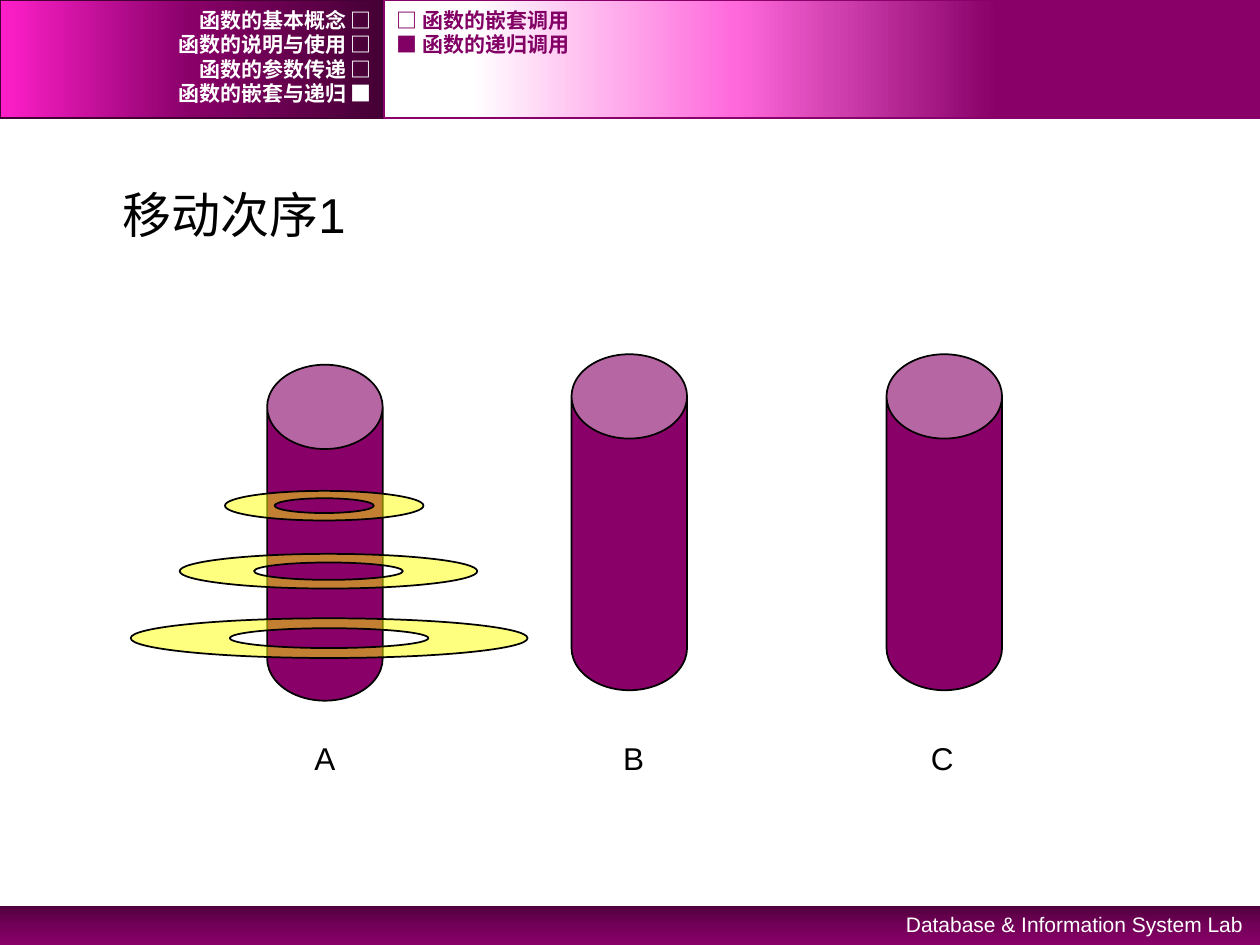
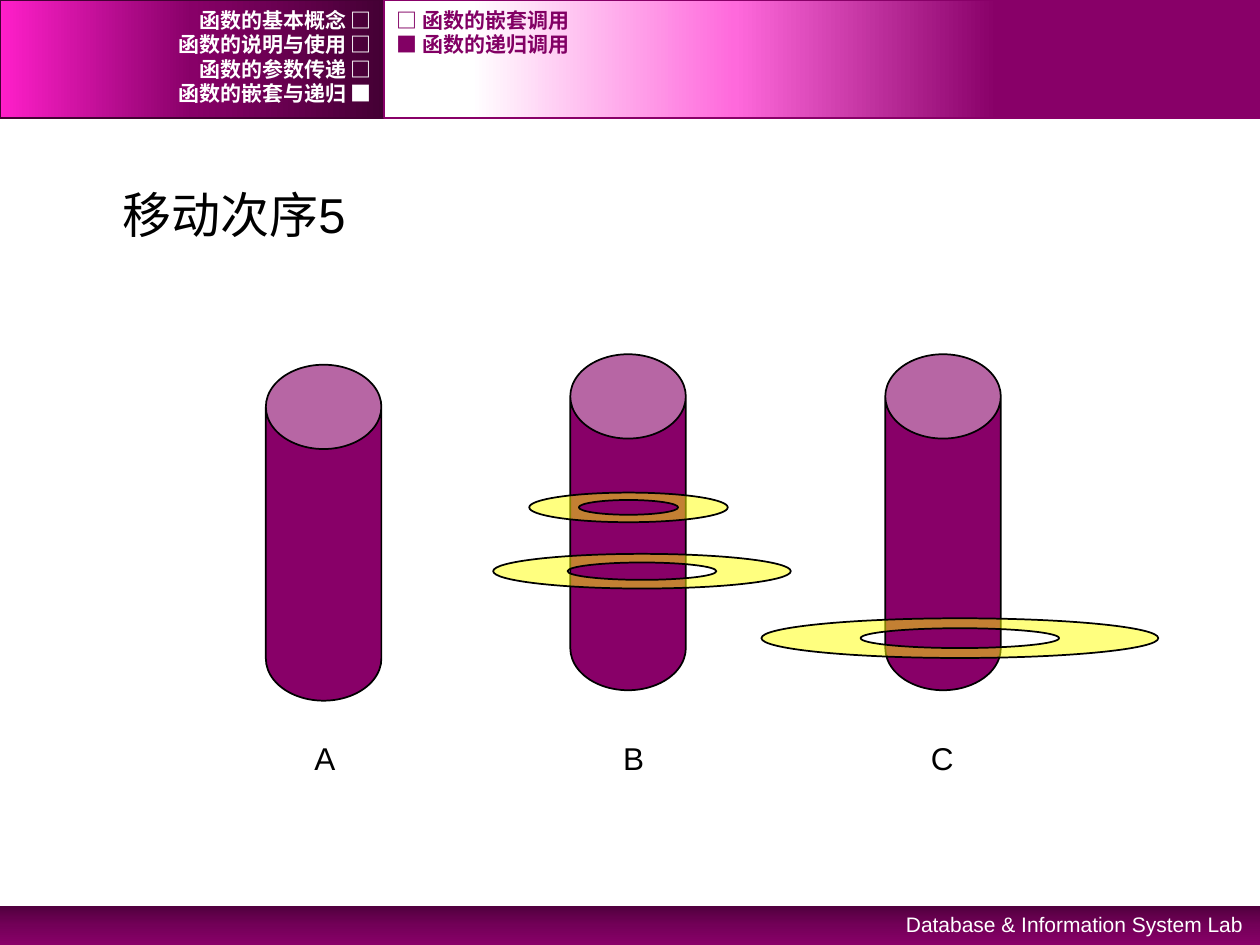
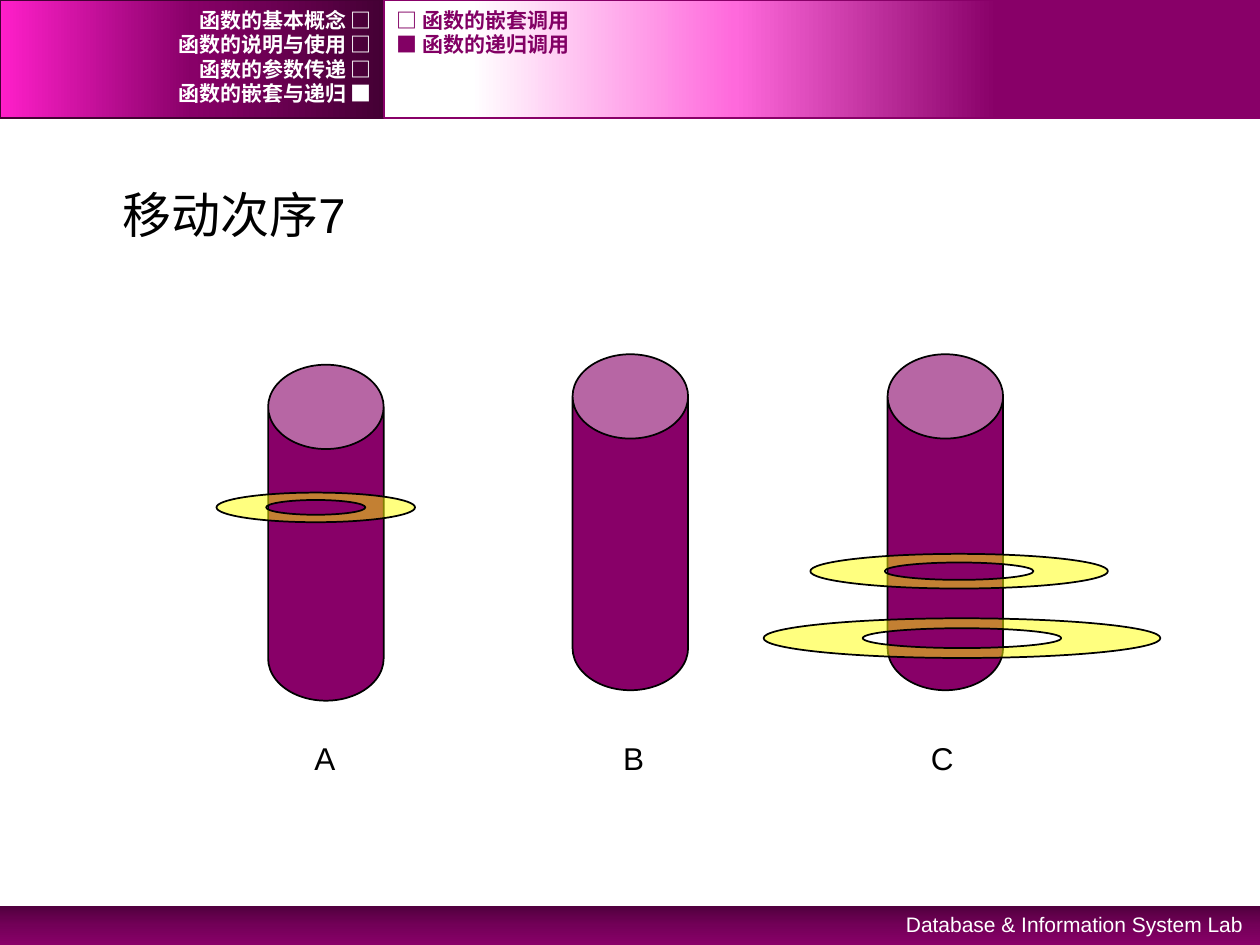
from dataclasses import dataclass

import lxml.etree
import pptx
import pptx.dml.color
import pptx.enum.shapes
import pptx.enum.text
import pptx.oxml.ns
import pptx.util

RGBColor = pptx.dml.color.RGBColor
Align = pptx.enum.text.PP_ALIGN
Anchor = pptx.enum.text.MSO_ANCHOR
Preset = pptx.enum.shapes.MSO_SHAPE
qn = pptx.oxml.ns.qn

PLUM = RGBColor(0x88, 0x00, 0x68)
MID_PLUM = RGBColor(0x73, 0x00, 0x58)
DEEP_PLUM = RGBColor(0x51, 0x00, 0x3E)
DARK_PLUM = RGBColor(0x44, 0x00, 0x34)
TOPIC_PLUM = RGBColor(0x82, 0x00, 0x64)
HOT_PINK = RGBColor(0xFF, 0x1F, 0xCA)
PINK = RGBColor(0xFF, 0x69, 0xDC)
YELLOW = RGBColor(0xFF, 0xFF, 0x00)
WHITE = RGBColor(0xFF, 0xFF, 0xFF)
BLACK = RGBColor(0x00, 0x00, 0x00)

SLIDE_WIDTH = pptx.util.Inches(10)
SLIDE_HEIGHT = pptx.util.Inches(7.5)
COLUMNS, ROWS = 100, 75
ARC_HANDLE = 0.55
DISK_OPACITY = 50


@dataclass(frozen=True)
class Box:
    left: float
    top: float
    width: float
    height: float


@dataclass(frozen=True)
class Band:
    box: Box
    stops: tuple[tuple[int, RGBColor], ...]
    angle: int
    outline: RGBColor | None = None


@dataclass(frozen=True)
class TextStyle:
    font: str
    size: int
    color: RGBColor
    bold: bool = False
    align: Align = Align.LEFT
    anchor: Anchor = Anchor.TOP
    inset: float = 0.5
    indent: float = 0


@dataclass(frozen=True)
class Disk:
    width: float
    height: float


@dataclass(frozen=True)
class Step:
    title: str
    peg_shift: float
    disk_centers: tuple[tuple[float, float], ...]


HEADER_SPLIT, HEADER_HEIGHT = 30.5, 9.4
BANDS = (
    Band(Box(0, 71.9, 100, 3.1), ((0, DEEP_PLUM), (50, MID_PLUM), (100, PLUM)), 270),
    Band(Box(0, 0, HEADER_SPLIT, HEADER_HEIGHT),
         ((0, DARK_PLUM), (50, PLUM), (100, HOT_PINK)), 180, DARK_PLUM),
    Band(Box(HEADER_SPLIT, 0, COLUMNS - HEADER_SPLIT, HEADER_HEIGHT),
         ((30, PLUM), (60, PINK), (90, WHITE)), 180, PLUM),
)

FOOTER_STYLE = TextStyle("Arial", 12, WHITE, align=Align.RIGHT)
TITLE_STYLE = TextStyle("Arial", 28, BLACK, inset=0.4, indent=3.75)
LABEL_STYLE = TextStyle("Arial", 18, BLACK, inset=0.55)
CHAPTER_STYLE = TextStyle("Courier New", 12, WHITE, True, Align.RIGHT, Anchor.MIDDLE, 0)
TOPIC_STYLE = TextStyle("Courier New", 12, TOPIC_PLUM, True, Align.LEFT, Anchor.MIDDLE, 0)

CHAPTERS = ("函数的基本概念 □", "函数的说明与使用 □", "函数的参数传递 □", "函数的嵌套与递归 ■")
TOPICS = ("□ 函数的嵌套调用", "■ 函数的递归调用")
MENU_TOP, MENU_PITCH, MENU_HEIGHT = 0.6, 1.95, 1.95

PEG_WIDTH, PEG_HEIGHT, PEG_CAP = 9.17, 26.67, 0.73
PEG_CORNERS = ((21.2, 28.95), (45.36, 28.12), (70.36, 28.12))
PEG_NAMES = ("A", "B", "C")
LABEL_FIRST, LABEL_PITCH = 2.8, 24.5
DISKS = (Disk(15.75, 2.35), Disk(23.62, 2.75), Disk(31.5, 3.15))

STEPS = (
    Step("移动次序1", 0, ((25.73, 40.13), (26.07, 45.33), (26.12, 50.65))),
    Step("移动次序5", -0.1, ((49.88, 40.27), (50.95, 45.33), (76.18, 50.65))),
    Step("移动次序7", 0.08, ((25.06, 40.27), (76.12, 45.33), (76.35, 50.65))),
)


def column(count: float) -> int:
    return round(SLIDE_WIDTH * count / COLUMNS)


def row(count: float) -> int:
    return round(SLIDE_HEIGHT * count / ROWS)


def place(box: Box) -> tuple[int, int, int, int]:
    return column(box.left), row(box.top), column(box.width), row(box.height)


def set_outline(shape, color: RGBColor | None) -> None:
    shape.shadow.inherit = False
    if color is None:
        shape.line.fill.background()
    else:
        shape.line.color.rgb = color
        shape.line.width = pptx.util.Pt(1)


def add_band(slide, band: Band) -> None:
    shape = slide.shapes.add_shape(Preset.RECTANGLE, *place(band.box))
    set_outline(shape, band.outline)
    shape.fill.gradient()
    shape.fill.gradient_angle = band.angle
    stop_list = shape._element.spPr.find(".//" + qn("a:gsLst"))
    for stop in list(stop_list):
        stop_list.remove(stop)
    for position, color in band.stops:
        stop = lxml.etree.SubElement(stop_list, qn("a:gs"), pos=str(position * 1000))
        lxml.etree.SubElement(stop, qn("a:srgbClr"), val=str(color))


def add_text(slide, box: Box, text: str, style: TextStyle):
    shape = slide.shapes.add_textbox(*place(box))
    frame = shape.text_frame
    frame.word_wrap = True
    frame.vertical_anchor = style.anchor
    frame.margin_top = frame.margin_bottom = row(style.inset)
    paragraph = frame.paragraphs[0]
    paragraph.alignment = style.align
    if style.indent:
        paragraph._p.get_or_add_pPr().set("marL", str(column(style.indent)))
    run = paragraph.add_run()
    run.text = text
    run.font.name = style.font
    run.font.size = pptx.util.Pt(style.size)
    run.font.bold = style.bold
    run.font.color.rgb = style.color
    return paragraph


def add_menu(slide, left: float, width: float, entries: tuple[str, ...], style: TextStyle) -> None:
    for index, entry in enumerate(entries):
        box = Box(left, MENU_TOP + index * MENU_PITCH, width, MENU_HEIGHT)
        add_text(slide, box, entry, style)


def add_peg(slide, corner: tuple[float, float], shift: float) -> None:
    box = Box(corner[0] + shift, corner[1], PEG_WIDTH, PEG_HEIGHT)
    shape = slide.shapes.add_shape(Preset.CAN, *place(box))
    shape.adjustments[0] = PEG_CAP
    shape.fill.solid()
    shape.fill.fore_color.rgb = PLUM
    set_outline(shape, BLACK)


def diamond(center: tuple[float, float], disk: Disk, scale: float) -> list[tuple[int, int]]:
    x, y = center
    half_width, half_height = scale * disk.width / 2, scale * disk.height / 2
    corners = ((x - half_width, y), (x, y - half_height),
               (x + half_width, y), (x, y + half_height), (x - half_width, y))
    return [(column(left), row(top)) for left, top in corners]


def round_segments(shape) -> None:
    start = (0, 0)
    starts_at_side = True
    for command in list(shape._element.spPr.find(".//" + qn("a:path"))):
        if command.tag == qn("a:close"):
            continue
        point = command.find(qn("a:pt"))
        end = (int(point.get("x")), int(point.get("y")))
        if command.tag == qn("a:moveTo"):
            starts_at_side = True
        else:
            corner = (start[0], end[1]) if starts_at_side else (end[0], start[1])
            curve = lxml.etree.Element(qn("a:cubicBezTo"))
            for anchor in (start, end):
                x, y = (round(a + ARC_HANDLE * (c - a)) for a, c in zip(anchor, corner))
                lxml.etree.SubElement(curve, qn("a:pt"), x=str(x), y=str(y))
            curve.append(point)
            command.getparent().replace(command, curve)
            starts_at_side = not starts_at_side
        start = end


def add_disk(slide, disk: Disk, center: tuple[float, float]) -> None:
    rim = diamond(center, disk, 1)
    hole = diamond(center, disk, 0.5)[::-1]
    builder = slide.shapes.build_freeform(*rim[0])
    builder.add_line_segments(rim[1:], close=True)
    builder.move_to(*hole[0])
    builder.add_line_segments(hole[1:], close=True)
    shape = builder.convert_to_shape()
    round_segments(shape)
    shape.fill.solid()
    shape.fill.fore_color.rgb = YELLOW
    color = shape._element.spPr.find(qn("a:solidFill")).find(qn("a:srgbClr"))
    lxml.etree.SubElement(color, qn("a:alpha"), val=str(DISK_OPACITY * 1000))
    set_outline(shape, BLACK)


def add_peg_names(slide) -> None:
    text = "".join("\t" + name for name in PEG_NAMES)
    paragraph = add_text(slide, Box(22, 58.1, 60, 4), text, LABEL_STYLE)
    tabs = lxml.etree.SubElement(paragraph._p.get_or_add_pPr(), qn("a:tabLst"))
    for index in range(len(PEG_NAMES)):
        position = column(LABEL_FIRST + index * LABEL_PITCH)
        lxml.etree.SubElement(tabs, qn("a:tab"), pos=str(position), algn="ctr")


def add_frame(slide) -> None:
    for band in BANDS:
        add_band(slide, band)
    add_text(slide, Box(64.15, 71.85, 35.5, 3), "Database & Information System Lab", FOOTER_STYLE)


def add_step(presentation, step: Step) -> None:
    slide = presentation.slides.add_slide(presentation.slide_layouts[6])
    add_frame(slide)
    add_text(slide, Box(5, 14.2, 89.2, 6.1), step.title, TITLE_STYLE)
    for corner in PEG_CORNERS:
        add_peg(slide, corner, step.peg_shift)
    for disk, center in zip(DISKS, step.disk_centers):
        add_disk(slide, disk, center)
    add_peg_names(slide)
    add_menu(slide, 0, HEADER_SPLIT, CHAPTERS, CHAPTER_STYLE)
    add_menu(slide, HEADER_SPLIT, 60.2, TOPICS, TOPIC_STYLE)


def main() -> None:
    presentation = pptx.Presentation()
    presentation.slide_width = SLIDE_WIDTH
    presentation.slide_height = SLIDE_HEIGHT
    for step in STEPS:
        add_step(presentation, step)
    presentation.save("out.pptx")


if __name__ == "__main__":
    main()
